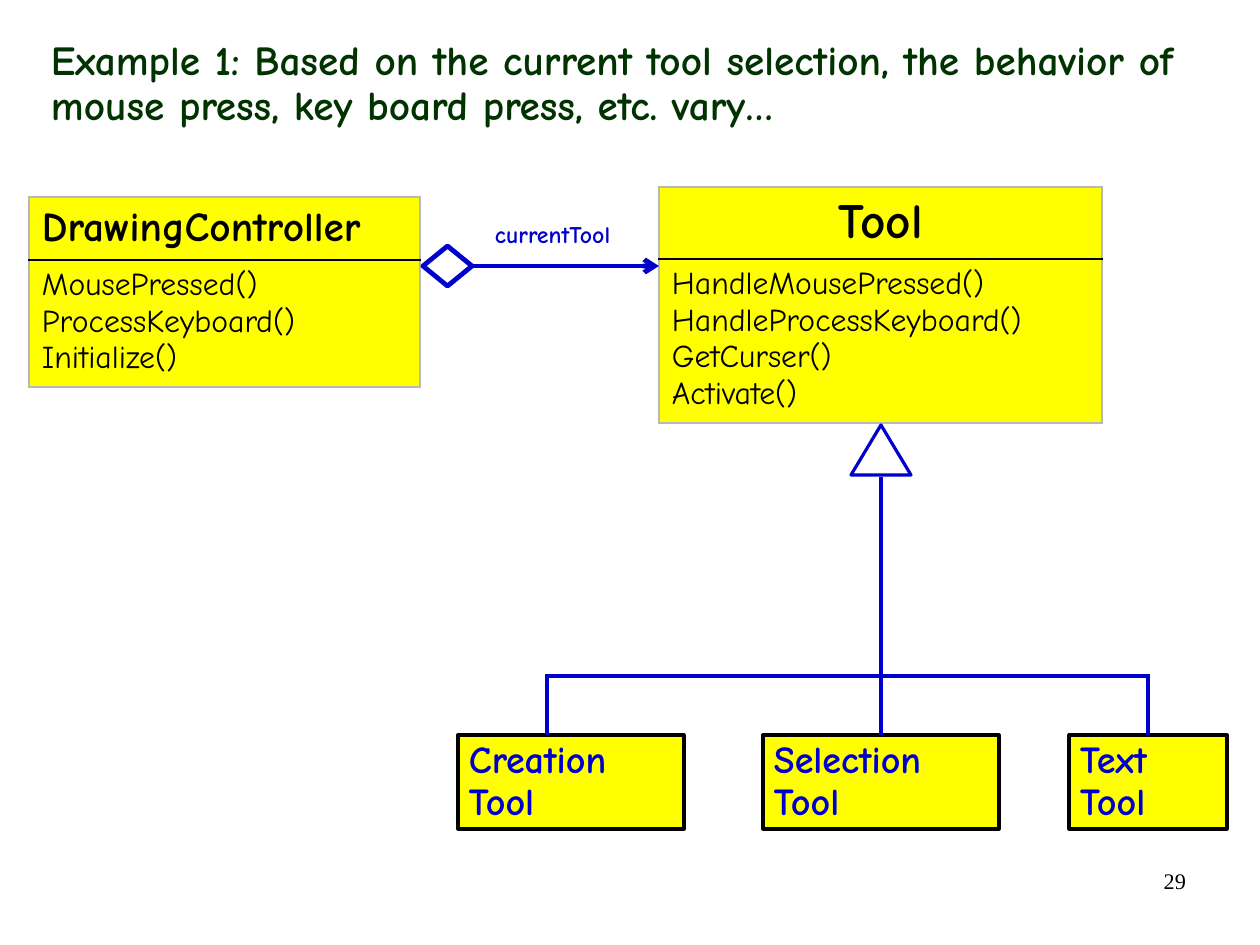
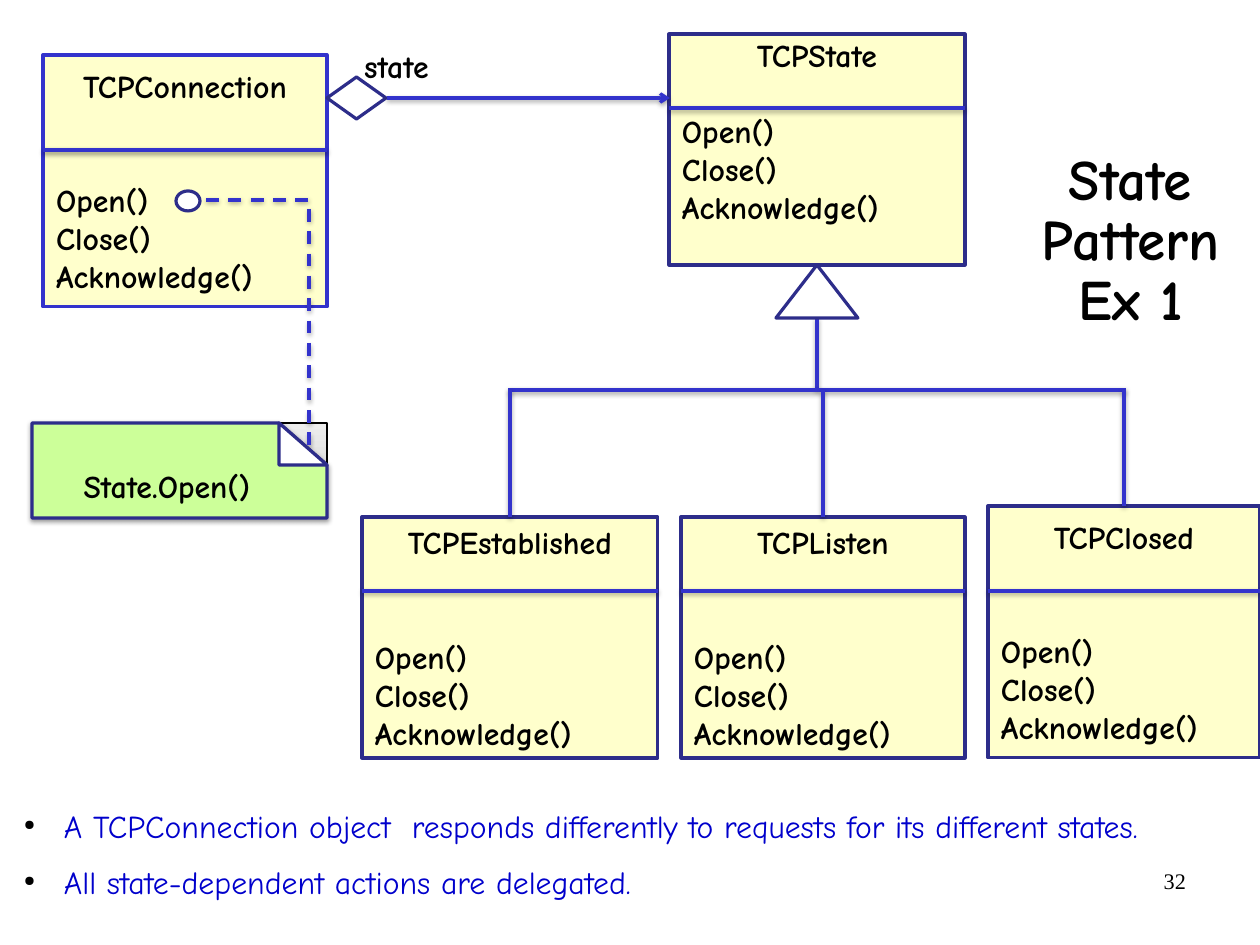
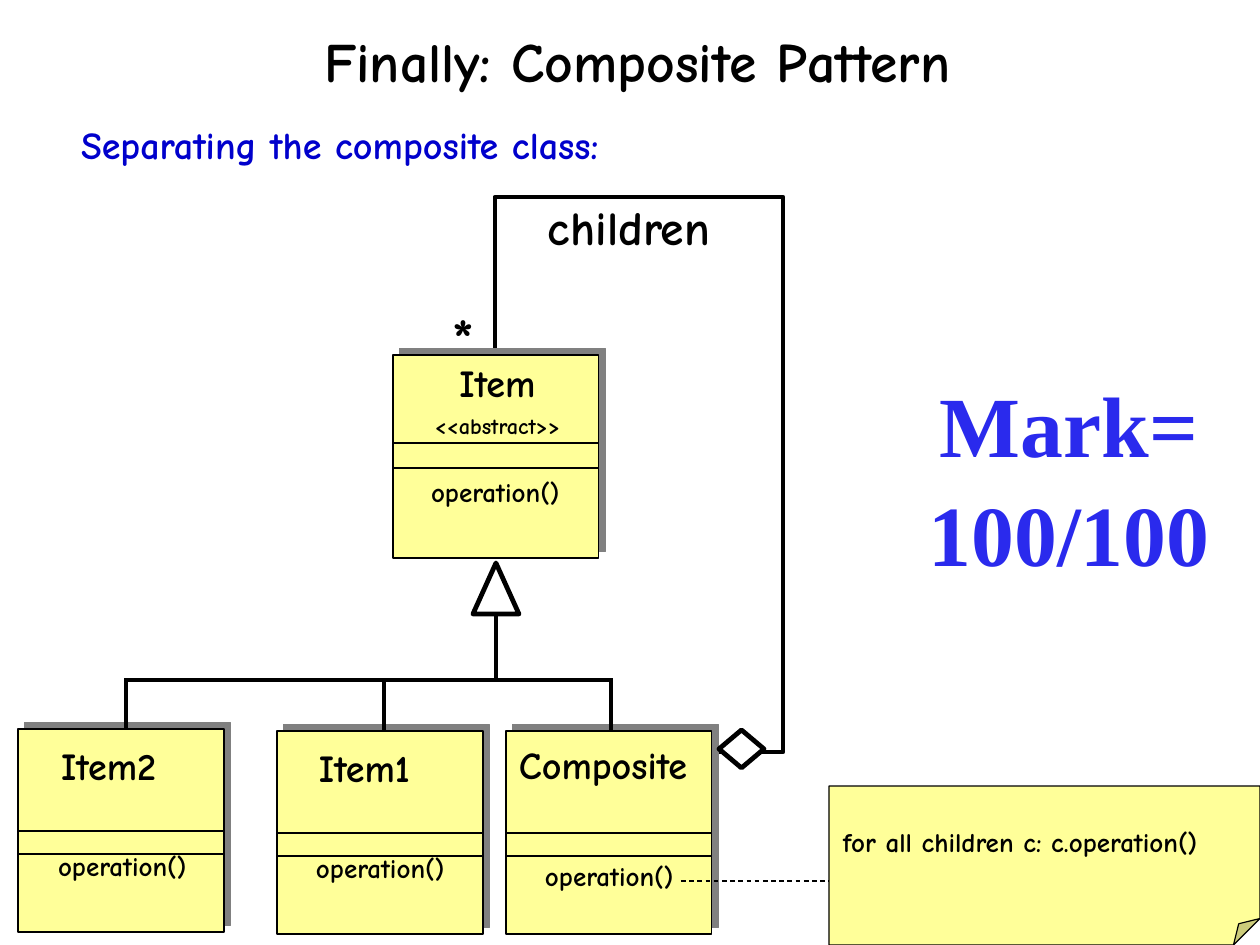
import pptx
import pptx.util
import pptx.dml.color
import pptx.enum.dml
import pptx.enum.shapes
import pptx.enum.text
import pptx.oxml
import pptx.oxml.ns
import lxml.etree

SHAPE = pptx.enum.shapes.MSO_SHAPE
ALIGN = pptx.enum.text.PP_ALIGN
ANCHOR = pptx.enum.text.MSO_ANCHOR
PX = 8000
COMIC, TIMES = "Comic Neue", "Times New Roman"
BLACK, WHITE, BLUE, GREEN = "000000", "FFFFFF", "0000CC", "003300"
YELLOW, CREAM, PALE, MINT = "FFFF00", "FFFFCC", "FFFF99", "CCFF99"
INDIGO, NAVY, VIOLET, GREY = "3333CC", "2D2D8A", "2A2AED", "B8B8B8"
TIGHT, WIDE = (11, 6), (13, 7)
# blur and distance in points, direction in degrees, colour, opacity in percent
SOFT = (3.1, 1.6, 90, BLACK, 38)
HARD = (0, 5.7, 315, "808080", 100)

# Slide 1: name, name size, alignment, x, y, width, row heights, methods
TOOL_TABLES = [
    ("DrawingController", 26, ALIGN.LEFT, 29, 197, 391, (63, 127),
     ["MousePressed()", "ProcessKeyboard()", "Initialize()"]),
    ("Tool", 31, ALIGN.CENTER, 659, 187, 443, (72, 164),
     ["HandleMousePressed()", "HandleProcessKeyboard()", "GetCurser()", "Activate()"]),
]
# name, x, width, distance of the branch from the middle
TOOLS = [("Creation Tool", 458, 226, -24), ("Selection Tool", 763, 236, 0),
         ("Text Tool", 1069, 158, 0)]

# Slide 2: name, box, divider y, gap above methods (pt), bottom inset, outline
METHODS = ["Open()", "Close()", "Acknowledge()"]
TCP_CLASSES = [
    ("TCPConnection", (43, 55, 284, 252), 150, 48, 7, INDIGO),
    ("TCPState", (669, 34, 296, 231), 108, 24, 45, NAVY),
    ("TCPEstablished", (362, 517, 296, 241), 591, 48, 7, NAVY),
    ("TCPListen", (681, 517, 284, 241), 591, 48, 7, NAVY),
    ("TCPClosed", (988, 506, 272, 252), 591, 48, 7, NAVY),
]
STATE_NOTES = [
    "A TCPConnection object  responds differently to requests for its different states.",
    "All state-dependent actions are delegated.",
]

# Slide 3: name lines, box corner, divider offsets, name box, operation corner
ABSTRACT = ("<<abstract>>", {"size": 14})
ITEMS = [
    (["Item", ABSTRACT], (393, 355), (88, 113), (411, 358, 173, 88), (418, 472)),
    (["Item2"], (18, 729), (102, 125), (48, 741, 139, 54), (45, 846)),
    (["Item1"], (277, 731), (102, 125), (306, 743, 137, 54), (303, 848)),
    (["Composite"], (506, 731), (102, 125), (506, 740, 207, 54), (532, 856)),
]
ITEM_SIZE = (206, 203)
BRANCH_SHIFTS = (5, 4, 2)


def px(length):
    return int(length * PX)


def rgb(colour):
    return pptx.dml.color.RGBColor.from_string(colour)


def add_xml(parent, tag, **attributes):
    return lxml.etree.SubElement(parent, pptx.oxml.ns.qn(tag), attributes)


def add_colour(parent, colour):
    return add_xml(parent, "a:srgbClr", val=colour)


def add_bullet(para):
    properties = para._p.get_or_add_pPr()
    properties.set("marL", str(px(53)))
    properties.set("indent", str(px(-40)))
    add_colour(add_xml(properties, "a:buClr"), BLACK)
    add_xml(properties, "a:buSzPct", val="45000")
    add_xml(properties, "a:buChar", char="●")


def write(frame, lines, size=20, colour=BLACK, bold=True, font=COMIC,
          align=ALIGN.LEFT, spacing=None, before=0, after=0, bullet=False):
    """Each line is a text, or a text with its own format."""
    for number, line in enumerate(lines):
        text, own = line if isinstance(line, tuple) else (line, {})
        para = frame.paragraphs[0] if number == 0 else frame.add_paragraph()
        para.alignment = own.get("align", align)
        para.space_before = pptx.util.Pt(own.get("before", before))
        para.space_after = pptx.util.Pt(after)
        if spacing:
            para.line_spacing = spacing
        if bullet:
            add_bullet(para)
        span = para.add_run()
        span.text = text
        span.font.name = font
        span.font.size = pptx.util.Pt(own.get("size", size))
        span.font.bold = bold
        span.font.color.rgb = rgb(colour)


def settle(frame, insets=WIDE, anchor=ANCHOR.TOP):
    frame.word_wrap = True
    frame.auto_size = pptx.enum.text.MSO_AUTO_SIZE.NONE
    frame.vertical_anchor = anchor
    frame.margin_left = frame.margin_right = px(insets[0])
    frame.margin_top = frame.margin_bottom = px(insets[1])


def add_text(page, place, lines, insets=WIDE, **look):
    box = page.shapes.add_textbox(*map(px, place))
    settle(box.text_frame, insets)
    write(box.text_frame, lines, **look)


def add_title(page, text, place, insets=WIDE, anchor=ANCHOR.TOP, **look):
    title = page.shapes.title
    title.left, title.top, title.width, title.height = map(px, place)
    settle(title.text_frame, insets, anchor)
    write(title.text_frame, [text], **look)


def add_number(page, number):
    add_text(page, (903, 861, 294, 65), [number], insets=TIGHT, size=14,
             bold=False, font=TIMES, align=ALIGN.RIGHT)


def outline(shape, colour, width, dashed=False, arrow=False, square=False, shadow=None):
    """Set the line and the shadow; the fill must be set before."""
    shape.line.color.rgb = rgb(colour)
    shape.line.width = pptx.util.Pt(width)
    if dashed:
        shape.line.dash_style = pptx.enum.dml.MSO_LINE.DASH
    stroke = shape.line._get_or_add_ln()
    if square:
        stroke.set("cap", "sq")
    if arrow:
        add_xml(stroke, "a:tailEnd", type="arrow")
    effects = add_xml(shape._element.spPr, "a:effectLst")
    if shadow:
        blur, distance, direction, tint, opacity = shadow
        cast = add_xml(effects, "a:outerShdw", blurRad=str(int(blur * 12700)),
                       dist=str(int(distance * 12700)), dir=str(direction * 60000),
                       algn="ctr", rotWithShape="0")
        add_xml(add_colour(cast, tint), "a:alpha", val=str(opacity * 1000))


def paint(shape, fill):
    shape.fill.solid()
    shape.fill.fore_color.rgb = rgb(fill)


def add_box(page, kind, place, fill, colour, width, **look):
    box = page.shapes.add_shape(kind, *map(px, place))
    paint(box, fill)
    outline(box, colour, width, **look)
    return box


def add_line(page, start, end, colour, width, **look):
    line = page.shapes.add_connector(pptx.enum.shapes.MSO_CONNECTOR.STRAIGHT,
                                     *map(px, start + end))
    outline(line, colour, width, **look)
    return line


def add_freeform(page, points, colour, width, fill=None, **look):
    builder = page.shapes.build_freeform(*points[0], scale=PX)
    builder.add_line_segments(points[1:], close=bool(fill))
    shape = builder.convert_to_shape()
    if fill:
        paint(shape, fill)
    else:
        shape.fill.background()
    outline(shape, colour, width, **look)


def add_tree(page, stem, bus_y, branches, colour, width, **look):
    """Stem down to a bus, then one branch to the top of each box, shifted from its middle."""
    xs = [(box.left + box.width / 2) / PX + shift for box, shift in branches]
    add_line(page, stem, (stem[0], bus_y), colour, width, **look)
    add_line(page, (xs[0], bus_y), (xs[-1], bus_y), colour, width, square=True, **look)
    for x, (box, shift) in zip(xs, branches):
        branch = add_line(page, (x, bus_y), (x, box.top / PX), colour, width, **look)
        if not shift:
            branch.end_connect(box, 0)


def add_borders(cell, **colours):
    properties = cell._tc.get_or_add_tcPr()
    for side in "LRTB":
        border = add_xml(properties, "a:ln" + side, w="12700")
        add_colour(add_xml(border, "a:solidFill"), colours.get(side, GREY))


def add_class_table(page, name, size, align, x, y, width, heights, methods):
    frame = page.shapes.add_table(2, 1, *map(px, (x, y, width, sum(heights))))
    table = frame.table
    table.first_row = table.horz_banding = False
    rows = [([name], dict(size=size, align=align), "B"),
            (methods, dict(bold=False), "T")]
    for number, (lines, look, inner_side) in enumerate(rows):
        table.rows[number].height = px(heights[number])
        cell = table.cell(number, 0)
        add_borders(cell, **{inner_side: BLACK})
        paint(cell, YELLOW)
        cell.margin_left = cell.margin_right = px(WIDE[0])
        cell.margin_top = cell.margin_bottom = px(WIDE[1])
        write(cell.text_frame, lines, **look)


def build_tools(page):
    add_title(page, "Example 1: Based on the current tool selection, the behavior of "
              "mouse press, key board press, etc. vary…", (40, 34, 1220, 101),
              insets=TIGHT, size=26, colour=GREEN, spacing=0.9)
    for table in TOOL_TABLES:
        add_class_table(page, *table)
    branches = []
    for name, x, width, shift in TOOLS:
        box = add_box(page, SHAPE.RECTANGLE, (x, 735, width, 94), YELLOW, BLACK, 2)
        settle(box.text_frame, TIGHT)
        write(box.text_frame, [name], size=24, colour=BLUE, spacing=0.9)
        branches.append((box, shift))
    add_tree(page, (881, 477), 676, branches, BLUE, 2.25)
    add_box(page, SHAPE.ISOSCELES_TRIANGLE, (851, 425, 60, 50), WHITE, BLUE, 2)
    add_line(page, (423, 266), (659, 266), BLUE, 3, arrow=True)
    add_box(page, SHAPE.FLOWCHART_DECISION, (423, 246, 49, 40), WHITE, BLUE, 3)
    add_text(page, (482, 216, 167, 39), ["currentTool"], size=15, colour=BLUE, spacing=0.9)
    add_number(page, "29")


def build_state(page):
    add_title(page, "State Pattern Ex 1", (1002, 63, 257, 277), anchor=ANCHOR.BOTTOM,
              size=36, align=ALIGN.CENTER, spacing=0.88)
    corner = add_box(page, SHAPE.RECTANGLE, (279, 423, 48, 42), WHITE, BLACK, 0.75)
    corner.fill.gradient()
    corner.fill.gradient_angle = 90
    for stop, colour in zip(corner.fill.gradient_stops, ("E0E0E0", "EDEDED")):
        stop.color.rgb = rgb(colour)
    add_freeform(page, [(32, 423), (279, 423), (327, 465), (327, 518), (32, 518)],
                 NAVY, 2, fill=MINT, shadow=SOFT)
    add_text(page, (32, 460, 270, 46), ["State.Open()"], align=ALIGN.CENTER)

    boxes = []
    for name, place, divider_y, gap, bottom, colour in TCP_CLASSES:
        box = add_box(page, SHAPE.RECTANGLE, place, CREAM, colour, 2)
        settle(box.text_frame, anchor=ANCHOR.MIDDLE)
        box.text_frame.margin_bottom = px(bottom)
        lines = [(name, {"align": ALIGN.CENTER}), (METHODS[0], {"before": gap})]
        write(box.text_frame, lines + METHODS[1:])
        add_line(page, (place[0], divider_y), (place[0] + place[2], divider_y), INDIGO,
                 3 if name == "TCPConnection" else 2, shadow=SOFT)
        boxes.append(box)
    add_tree(page, (817, 318), 390, [(box, 0) for box in boxes[2:]], INDIGO, 2, shadow=SOFT)
    add_box(page, SHAPE.FLOWCHART_EXTRACT, (776, 265, 82, 53), WHITE, NAVY, 2)

    add_box(page, SHAPE.DIAMOND, (327, 77, 59, 42), WHITE, NAVY, 2)
    add_line(page, (387, 98), (670, 98), INDIGO, 2, arrow=True, shadow=SOFT)
    add_text(page, (351, 40, 105, 45), ["state"])
    add_box(page, SHAPE.OVAL, (176, 191, 24, 20), WHITE, NAVY, 2)
    add_freeform(page, [(206, 200), (309, 200), (309, 449)], INDIGO, 2,
                 dashed=True, shadow=SOFT)
    add_box(page, SHAPE.RIGHT_TRIANGLE, (279, 423, 48, 42), WHITE, NAVY, 2)
    add_text(page, (0, 805, 1260, 140), STATE_NOTES, insets=TIGHT, colour=BLUE,
             bold=False, spacing=0.9, after=13.8, bullet=True)
    add_number(page, "32")


def build_composite(page):
    add_title(page, "Finally: Composite Pattern", (102, 0, 1071, 130), insets=(0, 0),
              anchor=ANCHOR.MIDDLE, size=35, align=ALIGN.CENTER, spacing=0.88)
    add_text(page, (68, 120, 616, 54), ["Separating the composite class:"],
             size=24, colour=BLUE, spacing=0.9)
    add_freeform(page, [(700, 752), (783, 752), (783, 197), (495, 197), (495, 355)],
                 BLACK, 3)
    boxes = []
    for names, (x, y), dividers, name_place, operation_corner in ITEMS:
        boxes.append(add_box(page, SHAPE.RECTANGLE, (x, y) + ITEM_SIZE, PALE, BLACK,
                             0.75, shadow=HARD))
        for offset in dividers:
            add_line(page, (x, y + offset), (x + ITEM_SIZE[0], y + offset), BLACK, 0.75)
        add_text(page, name_place, names, size=24, spacing=0.9, after=6,
                 align=ALIGN.CENTER if ABSTRACT in names else ALIGN.LEFT)
        add_text(page, operation_corner + (166, 42), ["operation()"], size=17, spacing=0.9)
    add_tree(page, (496, 613), 680, list(zip(boxes[1:], BRANCH_SHIFTS)), BLACK, 3)
    add_box(page, SHAPE.ISOSCELES_TRIANGLE, (473, 563, 46, 51), WHITE, BLACK, 3)
    add_box(page, SHAPE.DIAMOND, (719, 730, 45, 38), WHITE, BLACK, 3)
    add_text(page, (440, 303, 56, 75), ["*"], size=36, spacing=0.9)
    add_text(page, (535, 197, 206, 64), ["children"], size=30, spacing=0.9)

    add_box(page, SHAPE.FOLDED_CORNER, (829, 786, 431, 159), PALE, BLACK, 0.75)
    add_text(page, (830, 822, 430, 42), ["for all children c: c.operation()"],
             size=17, spacing=0.9)
    add_line(page, (681, 881), (829, 881), BLACK, 0.75, dashed=True)
    add_text(page, (878, 377, 382, 216), ["Mark=", "100/100"], insets=TIGHT, size=54,
             colour=VIOLET, font=TIMES, align=ALIGN.CENTER, spacing=0.9, after=10.9)


def main():
    deck = pptx.Presentation()
    deck.slide_width, deck.slide_height = px(1260), px(945)
    for build in (build_tools, build_state, build_composite):
        build(deck.slides.add_slide(deck.slide_layouts[5]))
    deck.save("out.pptx")


if __name__ == "__main__":
    main()
